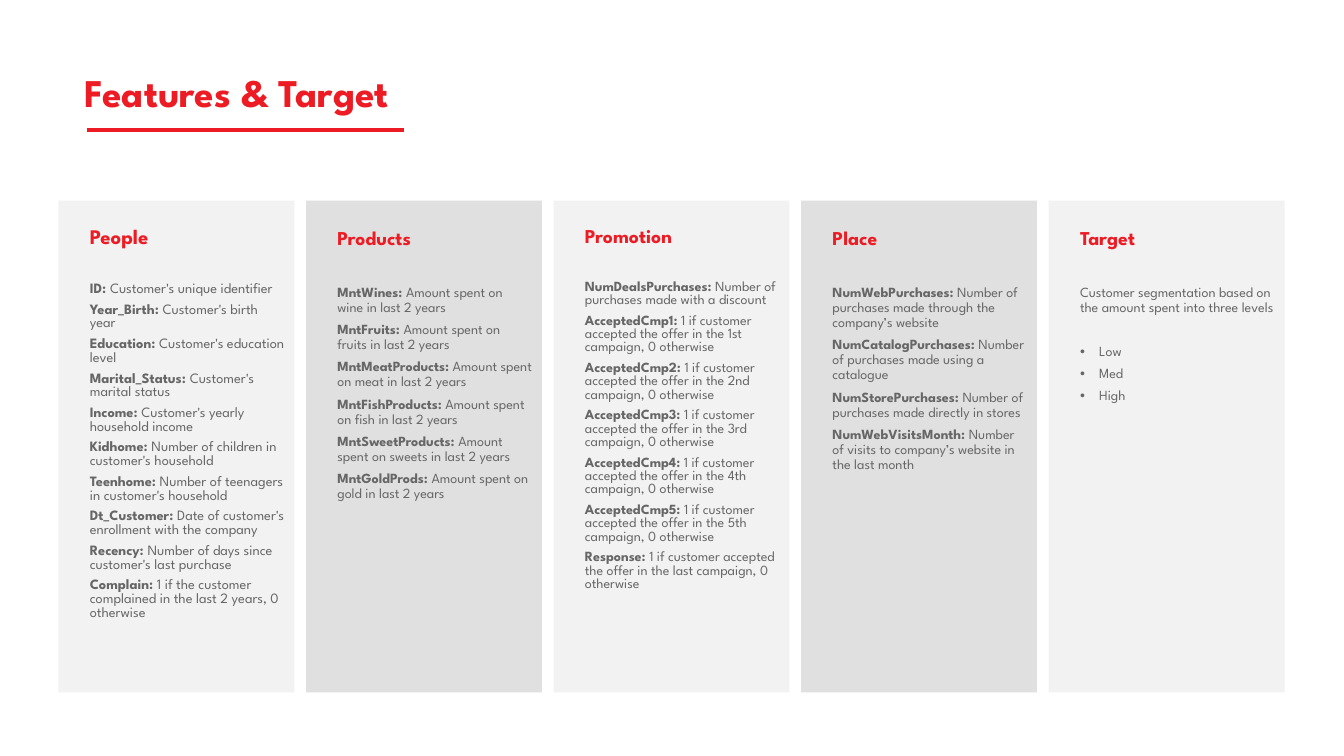
from dataclasses import dataclass

from lxml.etree import SubElement
from pptx import Presentation
from pptx.dml.color import RGBColor
from pptx.enum.shapes import MSO_CONNECTOR, MSO_SHAPE
from pptx.enum.text import MSO_ANCHOR, MSO_AUTO_SIZE, PP_ALIGN
from pptx.oxml.ns import qn
from pptx.util import Inches, Pt

FONT = "League Spartan"
RED, GREY, LIGHT, DARK = "ED1C24", "666666", "F2F2F2", "D9D9D9"
SLIDE_W, SLIDE_H = Inches(13.33), Inches(7.5)

# Card grid, in percent of the slide's width and height
CARD_LEFT, CARD_PITCH, CARD_W = 4.35, 18.42, 17.55
CARD_TOP, CARD_H = 26.53, 65.07
SPACE_BEFORE = 5
LINE_HEIGHT = 1.2


@dataclass
class Item:
    text: str
    name: str = ""
    bullet: bool = False
    gap_after: bool = False


@dataclass
class Card:
    heading: str
    items: list[Item]
    fill: str = LIGHT
    alpha: int = 100
    spacing: float = 0.9
    heading_size: float = 14
    size: float = 10


OFFER = "1 if customer accepted the offer in the {} campaign, 0 otherwise"
CARDS = [
    Card("People", [
        Item("Customer's unique identifier", "ID"),
        Item("Customer's birth year", "Year_Birth"),
        Item("Customer's education level", "Education"),
        Item("Customer's marital status", "Marital_Status"),
        Item("Customer's yearly household income", "Income"),
        Item("Number of children in customer's household", "Kidhome"),
        Item("Number of teenagers in customer's household", "Teenhome"),
        Item("Date of customer's enrollment with the company", "Dt_Customer"),
        Item("Number of days since customer's last purchase", "Recency"),
        Item("1 if the customer complained in the last 2 years, 0 otherwise", "Complain"),
    ], spacing=0.8, heading_size=14.8, size=10.2),
    Card("Products", [
        Item(f"Amount spent on {goods.lower()} in last 2 years", f"Mnt{name}")
        for goods, name in [
            ("wine", "Wines"), ("fruits", "Fruits"), ("meat", "MeatProducts"),
            ("fish", "FishProducts"), ("sweets", "SweetProducts"), ("gold", "GoldProds"),
        ]
    ], fill=DARK, alpha=80),
    Card("Promotion", [
        Item("Number of purchases made with a discount", "NumDealsPurchases"),
        *[Item(OFFER.format(nth), f"AcceptedCmp{i}")
          for i, nth in enumerate(["1st", "2nd", "3rd", "4th", "5th"], 1)],
        Item(OFFER.format("last"), "Response"),
    ], spacing=0.8),
    Card("Place", [
        Item("Number of purchases made through the company’s website", "NumWebPurchases"),
        Item("Number of purchases made using a catalogue", "NumCatalogPurchases"),
        Item("Number of purchases made directly in stores", "NumStorePurchases"),
        Item("Number of visits to company’s website in the last month", "NumWebVisitsMonth"),
    ], fill=DARK, alpha=80),
    Card("Target", [
        Item("Customer segmentation based on the amount spent into three levels", gap_after=True),
        *[Item(level, bullet=True) for level in ("Low", "Med", "High")],
    ]),
]


def x(percent: float) -> int:
    return round(SLIDE_W * percent / 100)


def y(percent: float) -> int:
    return round(SLIDE_H * percent / 100)


def rgb(color: str) -> RGBColor:
    return RGBColor.from_string(color)


def place(sp, left: float, top: float, width: float, height: float) -> None:
    sp.left, sp.top, sp.width, sp.height = x(left), y(top), x(width), y(height)


def add_text(p, text: str, *, size: float, color: str, bold: bool = False) -> None:
    r = p.add_run()
    r.text = text
    r.font.name, r.font.size, r.font.bold = FONT, Pt(size), bold
    r.font.color.rgb = rgb(color)


def set_bullet(p, bullet: bool) -> None:
    pPr = p._p.get_or_add_pPr()
    indent = Inches(0.19) if bullet else 0
    pPr.set("marL", str(indent))
    pPr.set("indent", str(-indent))
    if bullet:
        SubElement(pPr, qn("a:buFont")).set("typeface", "Arial")
        SubElement(pPr, qn("a:buChar")).set("char", "•")
    else:
        SubElement(pPr, qn("a:buNone"))


def add_paragraph(tf, card: Card, size: float, first: bool = False,
                  bullet: bool = False, gap_after: bool = False):
    p = tf.paragraphs[0] if first else tf.add_paragraph()
    p.alignment = PP_ALIGN.LEFT
    p.line_spacing = card.spacing
    p.space_before = Pt(SPACE_BEFORE)
    gap = size * card.spacing * LINE_HEIGHT + SPACE_BEFORE
    p.space_after = Pt(gap if gap_after else 0)
    set_bullet(p, bullet)
    return p


def draw_card(sp, card: Card, column: int) -> None:
    place(sp, CARD_LEFT + column * CARD_PITCH, CARD_TOP, CARD_W, CARD_H)
    sp.fill.solid()
    sp.fill.fore_color.rgb = rgb(card.fill)
    if card.alpha < 100:
        color = sp.fill._xPr.find(qn("a:solidFill"))[0]
        SubElement(color, qn("a:alpha")).set("val", str(card.alpha * 1000))
    sp.line.fill.background()

    tf = sp.text_frame
    tf.word_wrap, tf.auto_size = True, MSO_AUTO_SIZE.NONE
    tf.vertical_anchor = MSO_ANCHOR.TOP
    tf.margin_left, tf.margin_right = x(2.33), x(0.75)
    tf.margin_top, tf.margin_bottom = y(3.73), y(0.67)

    p = add_paragraph(tf, card, card.heading_size, first=True, gap_after=True)
    add_text(p, card.heading, size=card.heading_size, color=RED, bold=True)
    for item in card.items:
        p = add_paragraph(tf, card, card.size, bullet=item.bullet, gap_after=item.gap_after)
        if item.name:
            add_text(p, f"{item.name}: ", size=card.size, color=GREY, bold=True)
        add_text(p, item.text, size=card.size, color=GREY)


def draw_title(s) -> None:
    title = s.shapes.title
    place(title, 5.55, 2.93, 87.85, 19.33)
    tf = title.text_frame
    tf.word_wrap, tf.auto_size = True, MSO_AUTO_SIZE.NONE
    tf.vertical_anchor = MSO_ANCHOR.MIDDLE
    p = tf.paragraphs[0]
    p.alignment, p.line_spacing = PP_ALIGN.LEFT, 0.9
    add_text(p, "Features & Target", size=28, color=RED, bold=True)

    # Rule under the title
    rule = s.shapes.add_connector(MSO_CONNECTOR.STRAIGHT, x(6.45), y(17.2), x(30.08), y(17.2))
    rule.line.color.rgb, rule.line.width = rgb(RED), Pt(3)
    SubElement(rule._element.spPr, qn("a:effectLst"))


def main() -> None:
    prs = Presentation()
    prs.slide_width, prs.slide_height = SLIDE_W, SLIDE_H
    s = prs.slides.add_slide(prs.slide_layouts.get_by_name("Comparison"))
    draw_title(s)

    # Four cards use the layout's body placeholders, the last one is a rectangle
    bodies = [sp for sp in s.placeholders if sp.placeholder_format.idx > 0]
    target = s.shapes.add_shape(MSO_SHAPE.RECTANGLE, 0, 0, x(CARD_W), y(CARD_H))
    target.shadow.inherit = False
    for column, (sp, card) in enumerate(zip([*bodies, target], CARDS)):
        draw_card(sp, card, column)

    prs.save("out.pptx")


if __name__ == "__main__":
    main()
